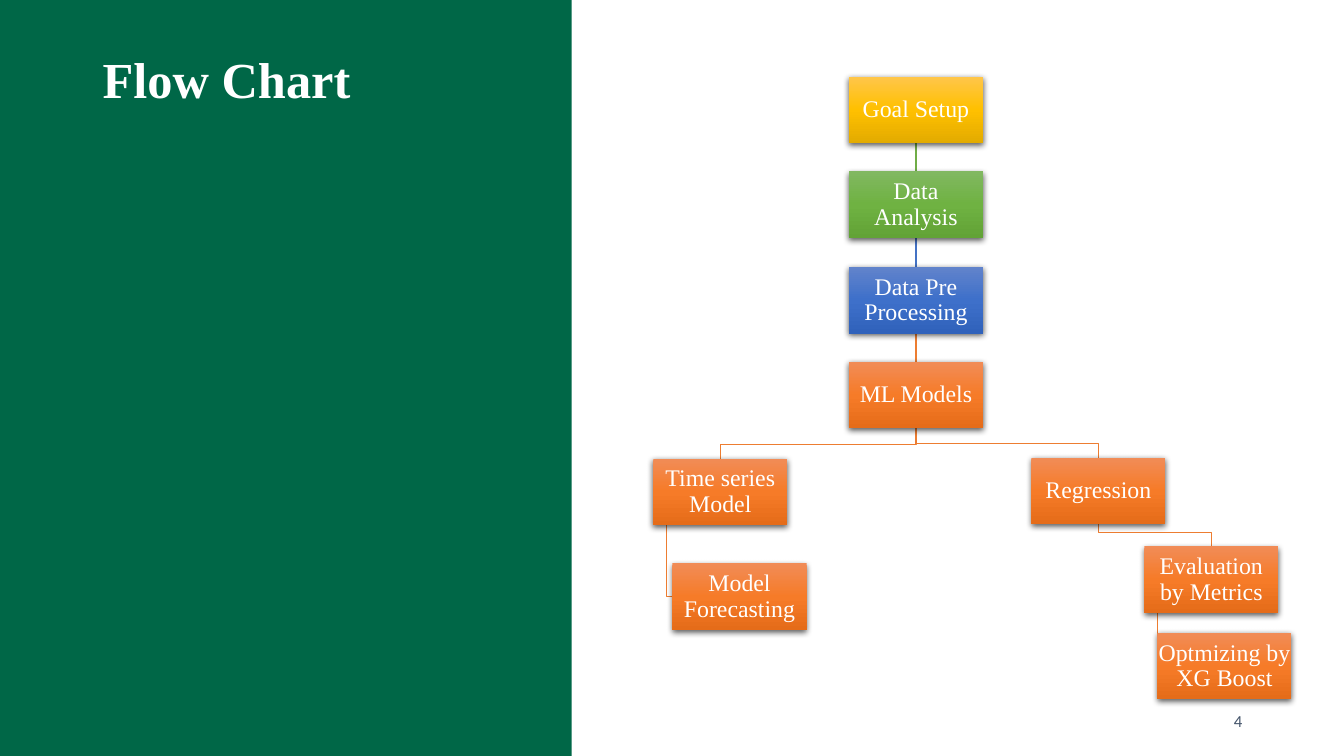
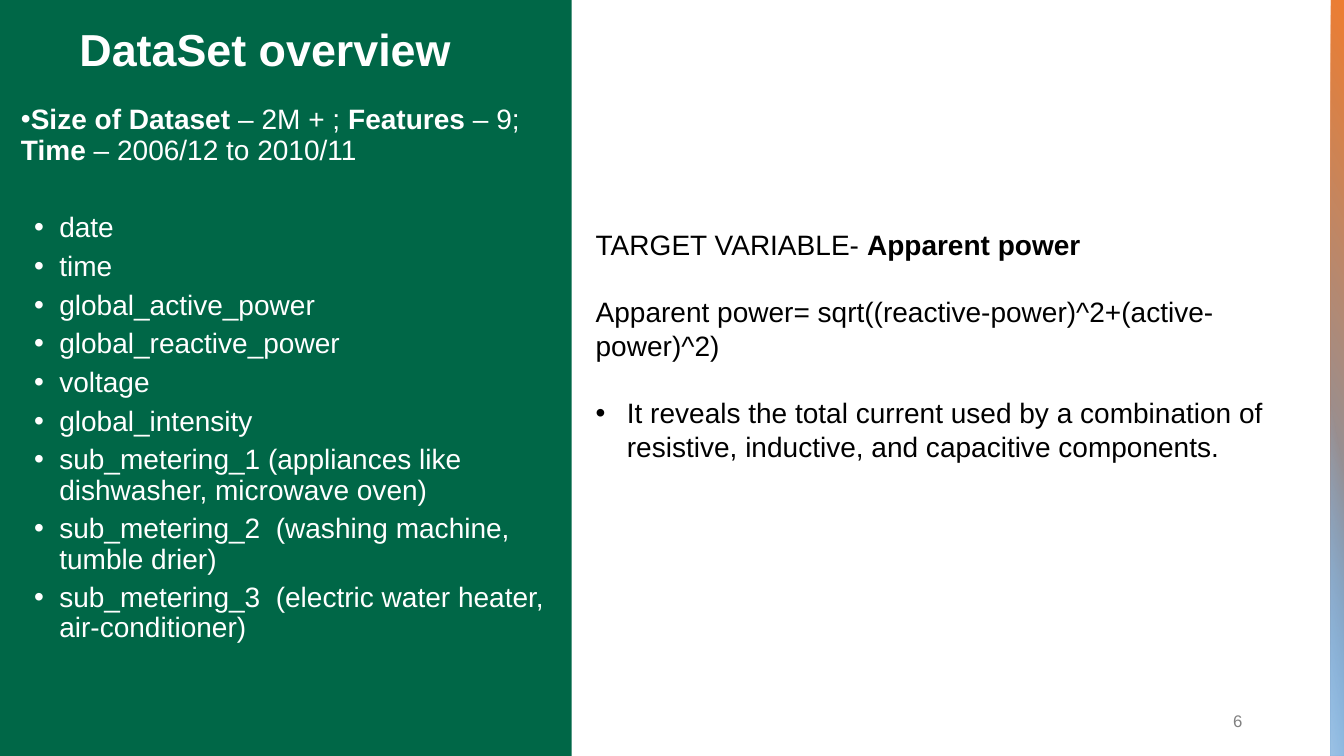
from dataclasses import dataclass
from typing import Optional

from lxml import etree
from pptx import Presentation
from pptx.dml.color import RGBColor
from pptx.enum import shapes, text
from pptx.oxml.ns import qn
from pptx.util import Emu, Pt

EMU_PER_PX = 9144


@dataclass(frozen=True)
class Stop:
    pos: int
    colour: str
    alpha: int = 100


@dataclass(frozen=True)
class Paint:
    stops: tuple[Stop, ...]
    line: str


def paint(line: str, top: str, middle: str, bottom: str) -> Paint:
    return Paint((Stop(0, top), Stop(50, middle), Stop(100, bottom)), line)


@dataclass(frozen=True)
class Theme:
    panel: str = "006747"
    white: str = "FFFFFF"
    ink: str = "000000"
    slate: str = "44546A"
    grey: str = "808080"
    serif: str = "Times New Roman"
    sans: str = "Arial"
    number_font: str = "Calibri"
    title_large: int = 36
    title: int = 32
    body: int = 20
    node: int = 17
    number: int = 12
    gold: Paint = paint("FFC000", "FFC64B", "FFC000", "E3AB00")
    green: Paint = paint("70AD47", "81B861", "6FB242", "62A336")
    blue: Paint = paint("4472C4", "6183CB", "3E70CA", "3062BB")
    orange: Paint = paint("ED7D31", "F18C57", "F67B28", "E56C19")
    edge: tuple[Stop, ...] = (Stop(0, "ED7D31"), Stop(100, "5B9BD5"))
    edge_glow: tuple[Stop, ...] = (Stop(19, "9DC3E6", 0), Stop(100, "9DC3E6"))


THEME = Theme()


@dataclass(frozen=True)
class Box:
    x: int
    y: int
    w: int
    h: int


@dataclass(frozen=True)
class Run:
    text: str
    bold: bool = False


@dataclass(frozen=True)
class Para:
    runs: tuple[Run, ...]
    after: float = 0
    margin: int = 0
    hang: int = 0


@dataclass(frozen=True)
class Node:
    text: str
    x: int
    y: int
    paint: Paint = THEME.orange
    parent: Optional[str] = None
    hangs: bool = False


NODE_W, NODE_H = 133, 66
TRUNK_X = 842
LINK_DROP, HANG_INSET = 14, 13
SLIDE_W, SLIDE_H = 1333, 750

TRUNK = (
    ("Goal Setup", THEME.gold),
    ("Data Analysis", THEME.green),
    ("Data Pre Processing", THEME.blue),
    ("ML Models", THEME.orange),
)
NODES = [
    Node(name, TRUNK_X, 76 + round(94.33 * i), fill, TRUNK[i - 1][0] if i else None)
    for i, (name, fill) in enumerate(TRUNK)
] + [
    Node("Time series Model", 648, 455, parent="ML Models"),
    Node("Model Forecasting", 667, 559, parent="Time series Model", hangs=True),
    Node("Regression", 1023, 454, parent="ML Models"),
    Node("Evaluation by Metrics", 1135, 542, parent="Regression"),
    Node("Optmizing by XG Boost", 1148, 628, parent="Evaluation by Metrics", hangs=True),
]

SUMMARY = Para(
    (
        Run("Size of Dataset", True),
        Run(" – 2M + ; "),
        Run("Features", True),
        Run(" – 9; "),
        Run("Time", True),
        Run(" – 2006/12 to 2010/11"),
    ),
    after=34,
    hang=25,
)
FEATURES = (
    "date",
    "time",
    "global_active_power",
    "global_reactive_power",
    "voltage",
    "global_intensity",
    "sub_metering_1 (appliances like dishwasher, microwave oven)",
    "sub_metering_2  (washing machine, tumble drier)",
    "sub_metering_3  (electric water heater, air-conditioner)",
)
TARGET = (
    Para((Run("TARGET VARIABLE- "), Run("Apparent power", True)), after=24),
    Para((Run("Apparent power= sqrt((reactive-power)^2+(active-power)^2)"),), after=24),
    Para(
        (Run("It reveals the total current used by a combination of resistive, "
             "inductive, and capacitive components."),),
        margin=31,
        hang=31,
    ),
)


def px(n: float) -> Emu:
    return Emu(round(n * EMU_PER_PX))


def place(box: Box) -> tuple[Emu, Emu, Emu, Emu]:
    return px(box.x), px(box.y), px(box.w), px(box.h)


def write(sp, paras, *, size: int, font: str, colour: str, bold: bool = False,
          align=text.PP_ALIGN.LEFT, anchor=text.MSO_ANCHOR.TOP,
          leading: float = 1.0, inset: Optional[int] = None) -> None:
    if isinstance(paras, str):
        paras = (Para((Run(paras, bold),)),)
    tf = sp.text_frame
    tf.word_wrap = True
    tf.vertical_anchor = anchor
    if inset is not None:
        tf.margin_left = tf.margin_right = tf.margin_top = tf.margin_bottom = px(inset)
    for i, para in enumerate(paras):
        p = tf.add_paragraph() if i else tf.paragraphs[0]
        if para.hang:
            pPr = p._p.get_or_add_pPr()
            pPr.set("marL", str(px(para.margin)))
            pPr.set("indent", str(-px(para.hang)))
            etree.SubElement(pPr, qn("a:buFont")).set("typeface", THEME.sans)
            etree.SubElement(pPr, qn("a:buChar")).set("char", "•")
        p.alignment = align
        p.line_spacing = leading
        p.space_after = Pt(para.after)
        for run in para.runs:
            r = p.add_run()
            r.text = run.text
            r.font.size = Pt(size)
            r.font.name = font
            r.font.bold = run.bold
            r.font.color.rgb = RGBColor.from_string(colour)


def add_text(s, box: Box, paras, **fmt) -> None:
    write(s.shapes.add_textbox(*place(box)), paras, **fmt)


def add_rect(s, box: Box):
    sp = s.shapes.add_shape(shapes.MSO_SHAPE.RECTANGLE, *place(box))
    sp.line.fill.background()
    sp.shadow.inherit = False
    return sp


def add_colour(parent, colour: str, alpha: int) -> None:
    clr = etree.SubElement(parent, qn("a:srgbClr"), val=colour)
    if alpha < 100:
        etree.SubElement(clr, qn("a:alpha"), val=str(alpha * 1000))


def fill_gradient(sp, stops: tuple[Stop, ...], angle: int) -> None:
    sp.fill.gradient()
    sp.fill.gradient_angle = 360 - angle
    gs_list = sp._element.spPr.find(qn("a:gradFill")).find(qn("a:gsLst"))
    gs_list.clear()
    for stop in stops:
        gs = etree.SubElement(gs_list, qn("a:gs"), pos=str(stop.pos * 1000))
        add_colour(gs, stop.colour, stop.alpha)


def add_drop_shadow(sp) -> None:
    effects = sp._element.spPr.find(qn("a:effectLst"))
    shadow = etree.SubElement(
        effects, qn("a:outerShdw"), blurRad=str(Pt(4.5)), dist=str(Pt(1.5)),
        dir="5400000", algn="ctr", rotWithShape="0")
    add_colour(shadow, THEME.ink, 63)


def add_path(s, points: list[tuple[float, float]], colour: str) -> None:
    pts = [(px(x), px(y)) for x, y in points]
    if len(pts) == 2:
        sp = s.shapes.add_connector(shapes.MSO_CONNECTOR.STRAIGHT, *pts[0], *pts[1])
        etree.SubElement(sp._element.spPr, qn("a:effectLst"))
    else:
        builder = s.shapes.build_freeform(*pts[0])
        builder.add_line_segments(pts[1:], close=False)
        sp = builder.convert_to_shape()
        sp.fill.background()
        sp.shadow.inherit = False
    sp.line.color.rgb = RGBColor.from_string(colour)
    sp.line.width = Pt(1)


def add_link(s, parent: Node, child: Node) -> None:
    bottom = parent.y + NODE_H
    if child.hangs:
        x, y = parent.x + HANG_INSET, child.y + NODE_H / 2
        points = [(x, bottom), (x, y)]
        if x != child.x:
            points.append((child.x, y))
    else:
        x, end = parent.x + NODE_W / 2, child.x + NODE_W / 2
        bar = child.y - LINK_DROP
        bend = [(x, bar), (end, bar)] if x != end else []
        points = [(x, bottom), *bend, (end, child.y)]
    add_path(s, points, child.paint.line)


def add_node(s, node: Node) -> None:
    sp = add_rect(s, Box(node.x, node.y, NODE_W, NODE_H))
    fill_gradient(sp, node.paint.stops, 90)
    add_drop_shadow(sp)
    write(sp, node.text, size=THEME.node, font=THEME.serif, colour=THEME.white,
          align=text.PP_ALIGN.CENTER, anchor=text.MSO_ANCHOR.MIDDLE,
          leading=0.9, inset=1)


def add_edge(s, box: Box, stops: tuple[Stop, ...], angle: int) -> None:
    sp = add_rect(s, box)
    fill_gradient(sp, stops, angle)
    sp._element.spPr.xfrm.set("flipH", "1")


def add_base(prs, title: str, box: Box, number: str, *, title_size: int,
             title_font: str, title_anchor, number_font: str, number_colour: str):
    s = prs.slides.add_slide(prs.slide_layouts[6])
    panel = add_rect(s, Box(0, 0, 567, SLIDE_H))
    panel.fill.solid()
    panel.fill.fore_color.rgb = RGBColor.from_string(THEME.panel)
    add_text(s, box, title, size=title_size, font=title_font, colour=THEME.white,
             bold=True, anchor=title_anchor, leading=0.9)
    add_text(s, Box(942, 695, 300, 40), number, size=THEME.number, font=number_font,
             colour=number_colour, align=text.PP_ALIGN.RIGHT,
             anchor=text.MSO_ANCHOR.MIDDLE)
    return s


def build_flow_chart(prs) -> None:
    s = add_base(prs, "Flow Chart", Box(92, 50, 430, 175), "4",
                 title_size=THEME.title_large, title_font=THEME.serif,
                 title_anchor=text.MSO_ANCHOR.TOP,
                 number_font=THEME.number_font, number_colour=THEME.slate)
    by_name = {node.text: node for node in NODES}
    for node in NODES:
        if node.parent:
            add_link(s, by_name[node.parent], node)
    for node in NODES:
        add_node(s, node)


def build_dataset(prs) -> None:
    s = add_base(prs, "DataSet overview", Box(69, 11, 426, 70), "6",
                 title_size=THEME.title, title_font=THEME.sans,
                 title_anchor=text.MSO_ANCHOR.BOTTOM,
                 number_font=THEME.sans, number_colour=THEME.grey)
    features = [Para((Run(name),), after=6, margin=38, hang=25) for name in FEATURES]
    add_text(s, Box(11, 100, 561, 377), [SUMMARY, *features], size=THEME.body,
             font=THEME.sans, colour=THEME.white, leading=0.9)
    add_edge(s, Box(1320, 0, 13, SLIDE_H), THEME.edge, 30)
    add_edge(s, Box(1320, 386, 13, 364), THEME.edge_glow, 10)
    add_text(s, Box(581, 221, 730, 279), TARGET, size=THEME.body,
             font=THEME.sans, colour=THEME.ink)


def main() -> None:
    prs = Presentation()
    prs.slide_width, prs.slide_height = px(SLIDE_W), px(SLIDE_H)
    build_flow_chart(prs)
    build_dataset(prs)
    prs.save("out.pptx")


if __name__ == "__main__":
    main()
